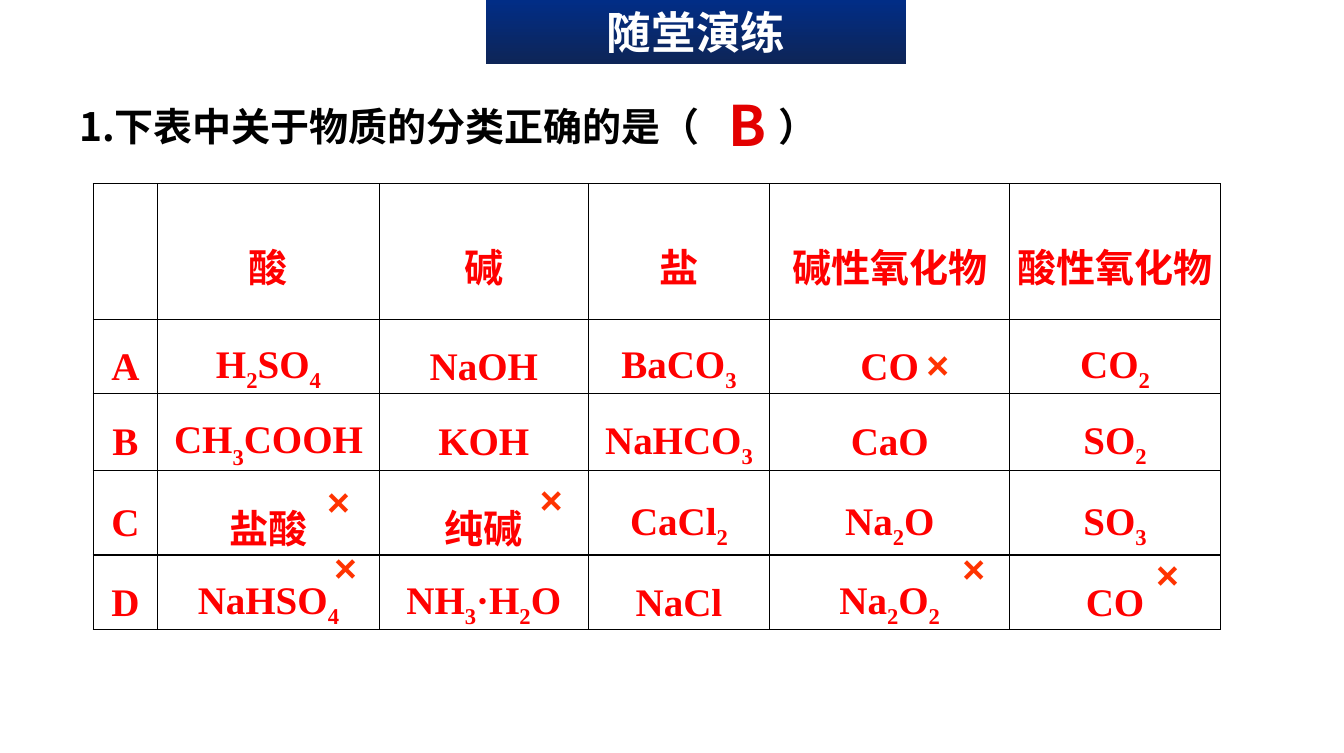
import itertools
import pptx
import pptx.dml.color
import pptx.enum.text
import pptx.oxml
import pptx.oxml.ns
import pptx.util
from pptx.util import Inches

CJK_FONT = "Noto Sans CJK SC"
MIDDLE = pptx.enum.text.MSO_ANCHOR.MIDDLE
CENTER = pptx.enum.text.PP_ALIGN.CENTER
NAMESPACE = pptx.oxml.ns.nsdecls("a")


def color(value):
    return pptx.dml.color.RGBColor.from_string(value)


def add_run(paragraph, text, size, font, hex_color):
    run = paragraph.add_run()
    run.text = text
    values = {"size": pptx.util.Pt(size), "name": font, "bold": True}
    for name, value in values.items():
        setattr(run.font, name, value)
    run.font.color.rgb = color(hex_color)
    properties = run._r.get_or_add_rPr()
    properties.append(pptx.oxml.parse_xml(f'<a:ea {NAMESPACE} typeface="{CJK_FONT}"/>'))
    return properties


presentation = pptx.Presentation()
presentation.slide_width = Inches(13.39)
presentation.slide_height = Inches(7.5)
slide = presentation.slides.add_slide(presentation.slide_layouts[6])

substances = [
    ["", "酸", "碱", "盐", "碱性氧化物", "酸性氧化物"],
    ["A", "H2SO4", "NaOH", "BaCO3", "CO", "CO2"],
    ["B", "CH3COOH", "KOH", "NaHCO3", "CaO", "SO2"],
    ["C", "盐酸", "纯碱", "CaCl2", "Na2O", "SO3"],
    ["D", "NaHSO4", "NH3·H2O", "NaCl", "Na2O2", "CO"],
]
column_widths = [0.64, 2.21, 2.08, 1.81, 2.39, 2.1]
row_heights = [1.35, 0.7, 0.7, 0.7, 0.7]
cell_format = {
    "margin_left": Inches(0.07),
    "margin_right": Inches(0.07),
    "margin_top": 0,
    "margin_bottom": 0,
    "vertical_anchor": MIDDLE,
}

table = slide.shapes.add_table(
    len(row_heights), len(column_widths),
    Inches(0.93), Inches(1.83), Inches(11.23), Inches(4.15),
).table
table.first_row = False
table.horz_banding = False
for column, width in zip(table.columns, column_widths):
    column.width = Inches(width)
for row, height, formulas in zip(table.rows, row_heights, substances):
    row.height = Inches(height)
    for cell, formula in zip(row.cells, formulas):
        for name, value in cell_format.items():
            setattr(cell, name, value)
        cell_properties = cell._tc.get_or_add_tcPr()
        for side in ("lnL", "lnR", "lnT", "lnB"):
            cell_properties.append(pptx.oxml.parse_xml(
                f'<a:{side} {NAMESPACE} w="12700"><a:solidFill>'
                f'<a:srgbClr val="000000"/></a:solidFill></a:{side}>'
            ))
        cell.fill.background()
        paragraph = cell.text_frame.paragraphs[0]
        paragraph.alignment = CENTER
        paragraph.line_spacing = 1.5
        for is_subscript, letters in itertools.groupby(formula, str.isdigit):
            properties = add_run(paragraph, "".join(letters), 28, "Times New Roman", "FF0000")
            if is_subscript:
                properties.set("baseline", "-30000" if formula == "CH3COOH" else "-25000")

question = slide.shapes.add_textbox(Inches(0.69), Inches(0.74), Inches(12.48), Inches(0.72))
question.text_frame.word_wrap = True
paragraph = question.text_frame.paragraphs[0]
paragraph.alignment = pptx.enum.text.PP_ALIGN.JUSTIFY
paragraph.line_spacing = 1.5
paragraph._p.get_or_add_pPr().append(pptx.oxml.parse_xml(
    f'<a:tabLst {NAMESPACE}><a:tab pos="{Inches(6.97)}" algn="l"/></a:tabLst>'
))
add_run(paragraph, "1.下表中关于物质的分类正确的是（\t）", 28, CJK_FONT, "000000")

answer = slide.shapes.add_textbox(Inches(7.16), Inches(0.85), Inches(0.83), Inches(0.77))
answer.text_frame.word_wrap = True
add_run(answer.text_frame.paragraphs[0], "B", 40, CJK_FONT, "E30000")

banner = slide.shapes.add_shape(
    pptx.enum.shapes.MSO_SHAPE.RECTANGLE, Inches(4.84), 0, Inches(4.19), Inches(0.64)
)
banner.shadow.inherit = False
banner.line.fill.background()
banner.fill.gradient()
banner.fill.gradient_angle = 270
for stop, hex_color in zip(banner.fill.gradient_stops, ("012D86", "0E2557")):
    stop.color.rgb = color(hex_color)
banner.text_frame.vertical_anchor = MIDDLE
paragraph = banner.text_frame.paragraphs[0]
paragraph.alignment = CENTER
add_run(paragraph, "随堂演练", 32, CJK_FONT, "FFFFFF")

wrong_marks = [(3.23, 5.36), (5.28, 4.69), (11.42, 5.43), (9.49, 5.37), (9.13, 3.34), (3.16, 4.71)]
for left, top in wrong_marks:
    mark = slide.shapes.add_textbox(Inches(left), Inches(top), Inches(0.39), Inches(0.57))
    add_run(mark.text_frame.paragraphs[0], "×", 28, "Arial", "FF3300")

presentation.save("out.pptx")
